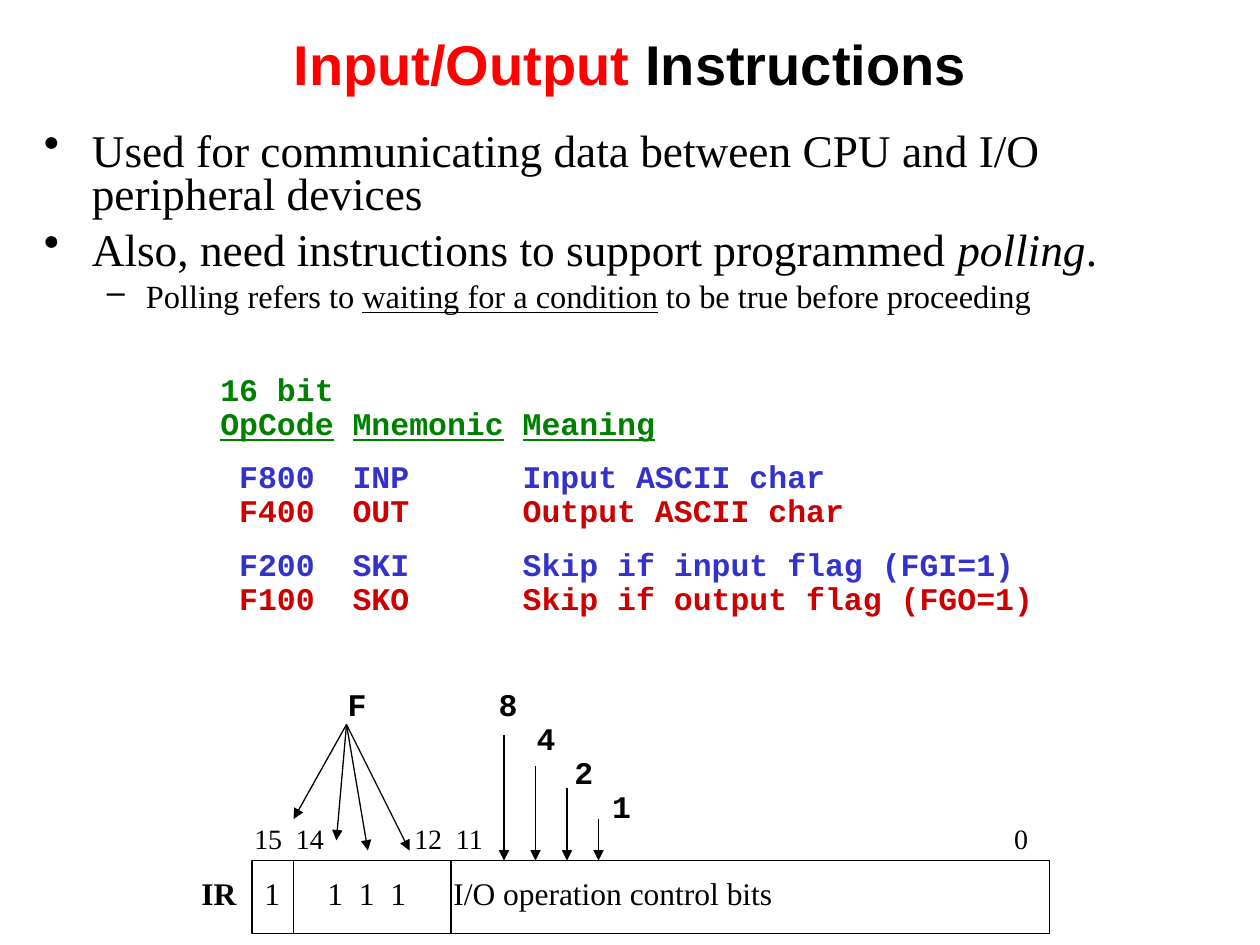
import pptx
import pptx.dml.color
import pptx.enum.shapes
import pptx.enum.text
import pptx.oxml
import pptx.oxml.ns
import pptx.util

Inches = pptx.util.Inches
Pt = pptx.util.Pt
RGBColor = pptx.dml.color.RGBColor
Align = pptx.enum.text.PP_ALIGN
Anchor = pptx.enum.text.MSO_ANCHOR

BLACK = RGBColor(0x00, 0x00, 0x00)
RED = RGBColor(0xFF, 0x00, 0x00)
GREEN = RGBColor(0x00, 0x80, 0x00)
BLUE = RGBColor(0x33, 0x33, 0xCC)
CRIMSON = RGBColor(0xCC, 0x00, 0x00)
SERIF = "Times New Roman"
MONO = "Courier New"


def add_child(parent, tag, **attributes):
    child = pptx.oxml.parse_xml(f"<a:{tag} {pptx.oxml.ns.nsdecls('a')}/>")
    for name, value in attributes.items():
        child.set(name, str(value))
    parent.append(child)
    return child


class SlideBuilder:
    def __init__(self, slide, line_width=0.75):
        self.slide = slide
        self.line_width = Pt(line_width)

    def text_box(self, left, top, width, height, anchor=Anchor.TOP):
        shape = self.slide.shapes.add_textbox(
            Inches(left), Inches(top), Inches(width), Inches(height))
        frame = shape.text_frame
        frame.word_wrap = True
        frame.vertical_anchor = anchor
        return frame

    def paragraph(self, frame, spacing=0.9, before=11.2, tabs=(), align=Align.LEFT):
        first = frame.paragraphs[0]
        paragraph = frame.add_paragraph() if first.runs else first
        paragraph.alignment = align
        paragraph.line_spacing = spacing
        paragraph.space_before = Pt(before)
        if tabs:
            tab_list = add_child(paragraph._p.get_or_add_pPr(), "tabLst")
            for position in tabs:
                add_child(tab_list, "tab", pos=Inches(position), algn="l")
        return paragraph

    def bullet(self, frame, character, indent, hanging, before, level=0):
        paragraph = self.paragraph(frame, 0.8, before)
        paragraph.level = level
        properties = paragraph._p.get_or_add_pPr()
        properties.set("marL", str(Inches(indent)))
        properties.set("indent", str(-Inches(hanging)))
        add_child(properties, "buChar", char=character)
        return paragraph

    def run(self, paragraph, text, size=18, font=SERIF, color=BLACK,
            bold=False, italic=False, underline=False):
        run = paragraph.add_run()
        run.text = text
        run.font.size = Pt(size)
        run.font.name = font
        run.font.color.rgb = color
        run.font.bold = bold
        run.font.italic = italic
        run.font.underline = underline

    def rectangle(self, left, top, width, height):
        shape = self.slide.shapes.add_shape(
            pptx.enum.shapes.MSO_SHAPE.RECTANGLE,
            Inches(left), Inches(top), Inches(width), Inches(height))
        shape.shadow.inherit = False
        shape.fill.background()
        shape.line.color.rgb = BLACK
        shape.line.width = self.line_width

    def line(self, start, end, arrow=False):
        connector = self.slide.shapes.add_connector(
            pptx.enum.shapes.MSO_CONNECTOR.STRAIGHT,
            *map(Inches, start), *map(Inches, end))
        connector.line.color.rgb = BLACK
        connector.line.width = self.line_width
        add_child(connector._element.spPr, "effectLst")
        if arrow:
            add_child(connector.line._get_or_add_ln(), "tailEnd", type="triangle")


def add_heading(builder):
    frame = builder.text_box(0, 0, 10, 1, Anchor.MIDDLE)
    title = builder.paragraph(frame, 1, 0, align=Align.CENTER)
    builder.run(title, "Input/Output ", 32, "Arial", RED, bold=True)
    builder.run(title, "Instructions", 32, "Arial", bold=True)


def add_bullets(builder):
    frame = builder.text_box(0.25, 1, 9.42, 1.58)
    use = builder.bullet(frame, "•", 0.38, 0.38, 7)
    builder.run(use, "Used for communicating data between CPU and I/O peripheral devices", 25.9)
    polling = builder.bullet(frame, "•", 0.38, 0.38, 7)
    builder.run(polling, "Also, need instructions to support programmed ", 25.9)
    builder.run(polling, "polling", 25.9, italic=True)
    builder.run(polling, ".", 25.9)
    detail = builder.bullet(frame, "–", 0.81, 0.31, 5, level=1)
    builder.run(detail, "Polling refers to ", 18.5)
    builder.run(detail, "waiting for a condition", 18.5, underline=True)
    builder.run(detail, " to be true before proceeding", 18.5)


def add_opcodes(builder):
    frame = builder.text_box(1.65, 2.92, 6.9, 2.04)
    header = builder.paragraph(frame)
    builder.run(header, "16 bit", font=MONO, color=GREEN, bold=True)
    header.add_line_break()
    for index, name in enumerate(("OpCode", "Mnemonic", "Meaning")):
        if index:
            builder.run(header, " ", font=MONO, color=GREEN, bold=True)
        builder.run(header, name, font=MONO, color=GREEN, bold=True, underline=True)
    pairs = (
        (("F800", "INP", "Input ASCII char"), ("F400", "OUT", "Output ASCII char")),
        (("F200", "SKI", "Skip if input flag (FGI=1)"),
         ("F100", "SKO", "Skip if output flag (FGO=1)")),
    )
    for input_row, output_row in pairs:
        paragraph = builder.paragraph(frame, tabs=(0.15, 1.05, 2.4))
        builder.run(paragraph, "\t" + "\t".join(input_row), font=MONO, color=BLUE, bold=True)
        paragraph.add_line_break()
        builder.run(paragraph, "\t" + "\t".join(output_row), font=MONO, color=CRIMSON, bold=True)


def add_register(builder):
    top, height = 6.83, 0.58
    builder.rectangle(2, top, 1.58, height)
    builder.line((2.33, top), (2.33, top + height))
    builder.rectangle(3.58, top, 4.75, height)

    values = builder.paragraph(builder.text_box(2, 6.92, 6.17, 0.37),
                               tabs=(0.5, 0.75, 1, 1.5))
    builder.run(values, "1\t1\t1\t1\tI/O operation control bits")
    positions = builder.paragraph(builder.text_box(1.92, 6.5, 6.5, 0.34),
                                  before=10, tabs=(0.33, 1.27, 1.6, 6.03))
    builder.run(positions, "15\t14\t12\t11\t0", 16)
    label = builder.paragraph(builder.text_box(1.5, 6.92, 0.58, 0.37))
    builder.run(label, "IR", bold=True)


def add_hex_digits(builder):
    frame = builder.text_box(2.66, 5.42, 2.45, 1.18)
    for index, text in enumerate(("F\t8", "\t4", "\t2", "\t1")):
        paragraph = builder.paragraph(frame, before=0, tabs=(1.2 + 0.3 * index,))
        builder.run(paragraph, text, font=MONO, bold=True)
    for index, top in enumerate((5.83, 6.08, 6.25, 6.5)):
        x = 4 + 0.25 * index
        builder.line((x, top), (x, 6.83), arrow=True)
    for end in ((2.33, 6.5), (2.67, 6.67), (2.92, 6.75), (3.25, 6.75)):
        builder.line((2.75, 5.75), end, arrow=True)


def main():
    presentation = pptx.Presentation()
    presentation.slide_width = Inches(10)
    presentation.slide_height = Inches(7.5)
    slide = presentation.slides.add_slide(presentation.slide_layouts[6])
    builder = SlideBuilder(slide)
    add_heading(builder)
    add_bullets(builder)
    add_opcodes(builder)
    add_register(builder)
    add_hex_digits(builder)
    presentation.save("out.pptx")


if __name__ == "__main__":
    main()
